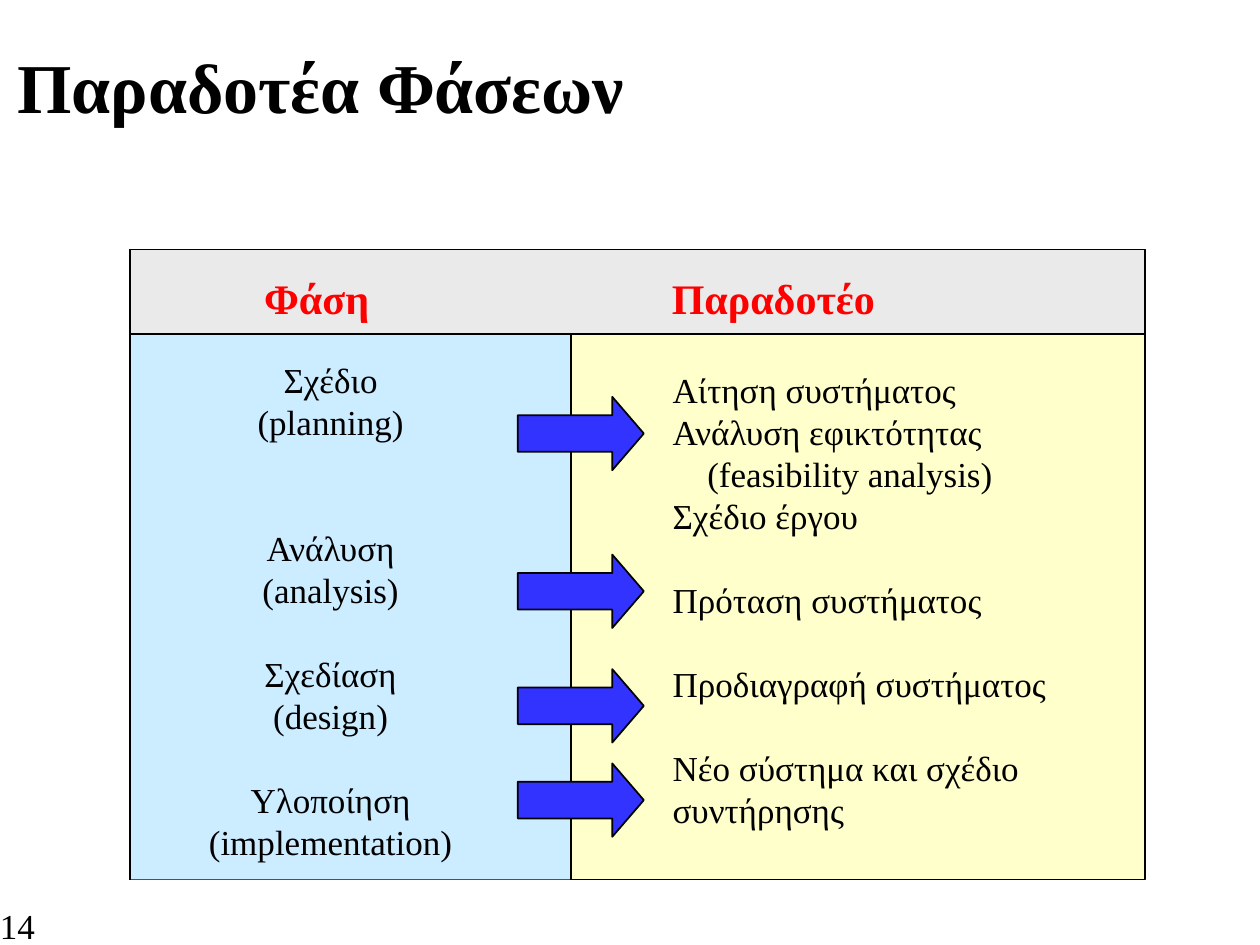
"""Build a slide that pairs project phases with their deliverables."""
from pptx import Presentation
from pptx.dml.color import RGBColor as RGB
from pptx.enum.shapes import MSO_CONNECTOR as LINK, MSO_SHAPE as KIND
from pptx.enum.text import MSO_ANCHOR as ANCHOR, PP_ALIGN as ALIGN
from pptx.oxml.ns import qn
from pptx.util import Cm, Pt
from lxml.etree import SubElement

BLACK = RGB(0x00, 0x00, 0x00)
RED = RGB(0xFF, 0x00, 0x00)
CREAM = RGB(0xFF, 0xFF, 0xCC)
SKY = RGB(0xCC, 0xEC, 0xFF)
GREY = RGB(0xEA, 0xEA, 0xEA)
BLUE = RGB(0x33, 0x33, 0xFF)

deck = Presentation()
deck.slide_width, deck.slide_height = Cm(25.4), Cm(19.05)
slide = deck.slides.add_slide(deck.slide_layouts[6])
shapes = slide.shapes


def add_box(kind, left, top, width, height, fill, edge=True):
    box = shapes.add_shape(kind, Cm(left), Cm(top), Cm(width), Cm(height))
    box.shadow.inherit = False
    box.fill.solid()
    box.fill.fore_color.rgb = fill
    if edge:
        box.line.color.rgb = BLACK
        box.line.width = Pt(1)
    else:
        box.line.fill.background()
    return box


def add_text(left, top, width, height, items, size=20, color=BLACK,
             bold=False, align=ALIGN.LEFT, wrap=True):
    box = shapes.add_textbox(Cm(left), Cm(top), Cm(width), Cm(height))
    frame = box.text_frame
    frame.word_wrap = wrap
    frame.vertical_anchor = ANCHOR.MIDDLE
    frame.text = "\n".join(items)
    for para in frame.paragraphs:
        para.alignment = align
        para.line_spacing = Pt(size * 1.2)
        for run in para.runs:
            run.font.name = "Times New Roman"
            run.font.size = Pt(size)
            run.font.bold = bold
            run.font.color.rgb = color
    return frame


add_text(0.1, 0.13, 25.3, 3.17, ["Παραδοτέα Φάσεων"], 40, bold=True)

LEFT, TOP, WIDTH, HEAD, BASE, SPLIT = 2.62, 5.03, 20.47, 1.7, 17.73, 11.51
MID = TOP + HEAD
add_box(KIND.RECTANGLE, LEFT, TOP, WIDTH, BASE - TOP, CREAM)
add_box(KIND.RECTANGLE, LEFT, MID, SPLIT - LEFT, BASE - MID, SKY, edge=False)
add_box(KIND.RECTANGLE, LEFT, TOP, WIDTH, HEAD, GREY)

for left, width, label in [(4.95, 2.87, "Φάση"), (12.95, 5.28, "Παραδοτέο")]:
    add_text(left, 5.36, width, 1.27, [label], 24, RED, True, ALIGN.CENTER, False)

phases = [
    "Σχέδιο", "(planning)", "Ανάλυση", "(analysis)",
    "Σχεδίαση", "(design)", "Υλοποίηση", "(implementation)",
]
frame = add_text(3.3, 7.11, 6.73, 10.41, phases, align=ALIGN.CENTER)
for row, gap in [(1, 48), (3, 24), (5, 24)]:
    frame.paragraphs[row].space_after = Pt(gap)

goods = [
    "Αίτηση συστήματος", "Ανάλυση εφικτότητας", "(feasibility analysis)",
    "Σχέδιο έργου", "Πρόταση συστήματος", "Προδιαγραφή συστήματος",
    "Νέο σύστημα και σχέδιο συντήρησης",
]
frame = add_text(13.31, 7.29, 10.59, 9.58, goods)
frame.paragraphs[2]._p.get_or_add_pPr().set("marL", str(Cm(0.7)))
for para in frame.paragraphs[3:6]:
    para.space_after = Pt(24)

for left in (LEFT, SPLIT):
    line = shapes.add_connector(LINK.STRAIGHT, Cm(left), Cm(MID), Cm(left), Cm(BASE))
    line.line.color.rgb = BLACK
    line.line.width = Pt(1)
    SubElement(line._element.spPr, qn("a:effectLst"))

for top in (8, 11.18, 13.49, 15.39):
    arrow = add_box(KIND.RIGHT_ARROW, 10.44, top, 2.54, 1.48, BLUE)
    arrow.adjustments[0] = 0.5
    arrow.adjustments[1] = 0.43

frame = add_text(0, 18.31, 2.74, 0.71, ["14"])
frame.margin_left = frame.margin_right = frame.margin_top = frame.margin_bottom = 0

deck.save("out.pptx")
